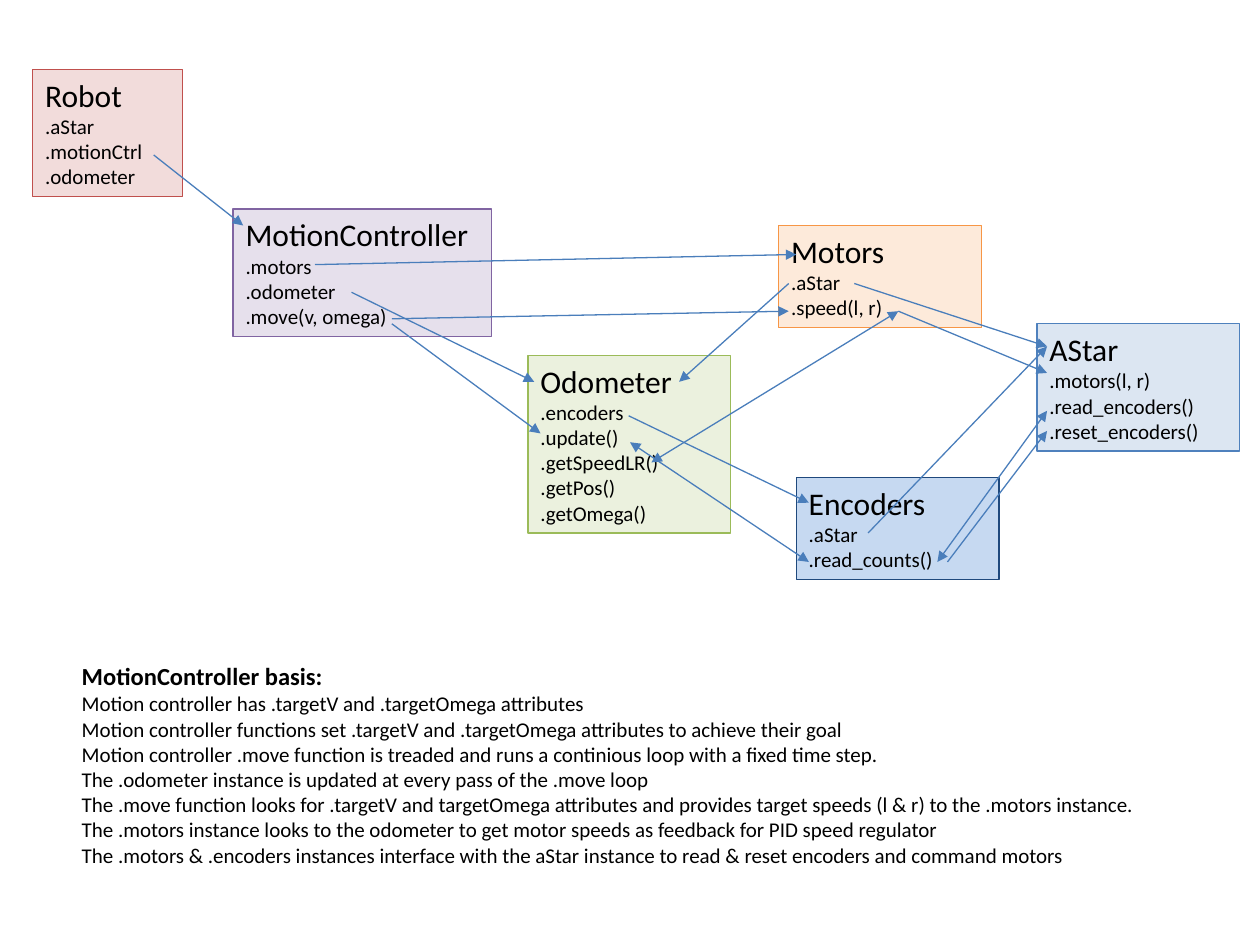
from lxml import etree
from pptx import Presentation
from pptx import util as u
from pptx.dml.color import RGBColor
from pptx.enum import shapes, text
from pptx.oxml.ns import qn

# Content: class boxes as (name, members, left, top, width, fill, line)
COLORS = {
    "text": "000000", "arrow": "4A7EBB",
    "pale blue": "DCE6F2", "blue": "4F81BD", "pale red": "F2DCDB", "red": "C0504D",
    "sky": "C6D9F1", "navy": "1F497D", "pale orange": "FDEADA", "orange": "F79646",
    "pale green": "EBF1DE", "green": "9BBB59", "pale purple": "E6E0EC", "purple": "8064A2",
}
CLASSES = [
    ("AStar", [".motors(l, r)", ".read_encoders()", ".reset_encoders()"],
     8.23, 2.57, 1.61, "pale blue", "blue"),
    ("Robot", [".aStar", ".motionCtrl", ".odometer"], 0.26, 0.55, 1.19, "pale red", "red"),
    ("Encoders", [".aStar", ".read_counts()"], 6.32, 3.79, 1.61, "sky", "navy"),
    ("Motors", [".aStar", ".speed(l, r)"], 6.18, 1.79, 1.61, "pale orange", "orange"),
    ("Odometer", [".encoders", ".update()", ".getSpeedLR()", ".getPos()", ".getOmega()"],
     4.19, 2.82, 1.61, "pale green", "green"),
    ("MotionController", [".motors", ".odometer", ".move(v, omega)"],
     1.85, 1.66, 2.05, "pale purple", "purple"),
]
# Arrows as (start, end, ends that carry a head)
ONE_WAY, TWO_WAY = ("tailEnd",), ("headEnd", "tailEnd")
ARROWS = [
    ((1.22, 1.23), (1.93, 1.79), ONE_WAY),
    ((3.11, 2.57), (4.29, 3.44), ONE_WAY),
    ((6.42, 4.46), (5.00, 3.51), TWO_WAY),
    ((3.11, 2.53), (6.26, 2.47), ONE_WAY),
    ((7.13, 2.47), (8.31, 2.96), ONE_WAY),
    ((8.31, 3.26), (7.44, 4.46), TWO_WAY),
    ((7.13, 2.47), (5.17, 3.67), TWO_WAY),
    ((7.52, 4.46), (8.31, 3.42), ONE_WAY),
    ((2.50, 2.10), (6.32, 2.02), ONE_WAY),
    ((2.79, 2.32), (4.24, 3.03), ONE_WAY),
    ((4.99, 3.30), (6.42, 3.99), ONE_WAY),
    ((6.78, 2.25), (8.31, 2.75), ONE_WAY),
    ((6.89, 4.23), (8.31, 2.75), ONE_WAY),
    ((6.26, 2.25), (5.39, 3.03), ONE_WAY),
]
NOTES_TITLE = "MotionController basis:"
NOTES = [
    "Motion controller has .targetV and .targetOmega attributes",
    "Motion controller functions set .targetV and .targetOmega attributes to achieve their goal",
    "Motion controller .move function is treaded and runs a continious loop with a fixed time step.",
    "The .odometer instance is updated at every pass of the .move loop",
    "The .move function looks for .targetV and targetOmega attributes and provides target speeds "
    "(l & r) to the .motors instance.",
    "The .motors instance looks to the odometer to get motor speeds as feedback for PID speed regulator",
    "The .motors & .encoders instances interface with the aStar instance to read & reset encoders "
    "and command motors",
]
TITLE_HEIGHT, MEMBER_HEIGHT = 0.41, 0.2
LINE_WIDTH = u.Pt(0.74)

presentation = Presentation()
presentation.slide_width, presentation.slide_height = u.Inches(10), u.Inches(7.5)
slide = presentation.slides.add_slide(presentation.slide_layouts[6])


def color(name):
    return RGBColor.from_string(COLORS[name])


def write(shape, title, lines, title_size, size=12, bold=False):
    frame = shape.text_frame
    frame.word_wrap = True
    frame.vertical_anchor = text.MSO_ANCHOR.TOP
    for index, line in enumerate([title] + lines):
        paragraph = frame.add_paragraph() if index else frame.paragraphs[0]
        paragraph.alignment = text.PP_ALIGN.LEFT
        run = paragraph.add_run()
        run.text = line
        run.font.name = "Calibri"
        run.font.size = u.Pt(size if index else title_size)
        run.font.bold = bold and index == 0
        run.font.color.rgb = color("text")


# Class boxes, as tall as their member lists
for name, members, left, top, width, fill, line in CLASSES:
    height = TITLE_HEIGHT + MEMBER_HEIGHT * len(members)
    box = slide.shapes.add_shape(shapes.MSO_SHAPE.RECTANGLE,
                                 *map(u.Inches, (left, top, width, height)))
    box.shadow.inherit = False
    box.fill.solid()
    box.fill.fore_color.rgb = color(fill)
    box.line.color.rgb = color(line)
    box.line.width = LINE_WIDTH
    write(box, name, members, title_size=18)

# Arrows between members
for start, end, heads in ARROWS:
    arrow = slide.shapes.add_connector(shapes.MSO_CONNECTOR.STRAIGHT,
                                       *map(u.Inches, start + end))
    arrow.line.color.rgb = color("arrow")
    arrow.line.width = LINE_WIDTH
    properties = arrow.line._get_or_add_ln()
    for head in heads:
        etree.SubElement(properties, qn("a:" + head), type="triangle")
    etree.SubElement(arrow._element.spPr, qn("a:effectLst"))

# Explanation below the diagram
notes = slide.shapes.add_textbox(*map(u.Inches, (0.55, 5.2, 8.86, 1.75)))
write(notes, NOTES_TITLE, NOTES, title_size=14, bold=True)

presentation.save("out.pptx")
